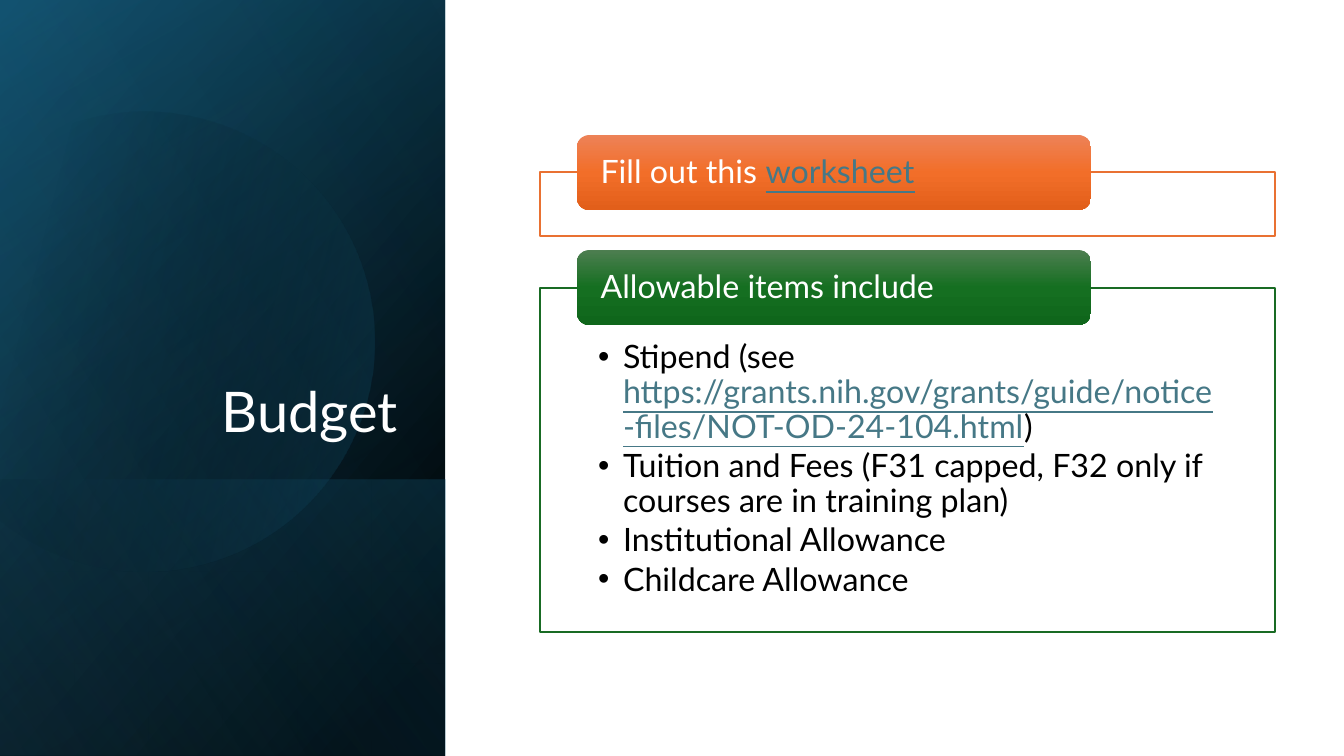
import math
from dataclasses import dataclass

from lxml import etree
from pptx import Presentation
from pptx import util as u
from pptx.dml.color import RGBColor
from pptx.enum import shapes, text
from pptx.oxml.ns import qn


@dataclass(frozen=True)
class Theme:
    font: str = "Lato"
    title_size: int = 40
    text_size: int = 23
    white: str = "FFFFFF"
    black: str = "000000"
    link: str = "467886"
    navy: str = "104862"
    teal: str = "156082"
    sky: str = "46B1E1"
    orange: str = "E97132"
    green: str = "196B24"
    orange_header: tuple = ((0, "ED8257", 100), (50, "F26E29", 100), (100, "E25F1A", 100))
    green_header: tuple = ((0, "4D7E50", 100), (50, "156F21", 100), (100, "0F661B", 100))


THEME = Theme()
SCALE = 914400 / 100.8
PAGE_WIDTH, PAGE_HEIGHT = 1344, 756
PANEL_WIDTH = 445
FRAME_LEFT, FRAME_WIDTH = 540, 735
HEADER_LEFT, HEADER_WIDTH, HEADER_HEIGHT = 577, 514, 75


def px(length):
    return u.Emu(round(length * SCALE))


def place(shape, left, top, width, height):
    shape.left, shape.top = px(left), px(top)
    shape.width, shape.height = px(width), px(height)


def add_alpha(color, percent):
    etree.SubElement(color, qn("a:alpha")).set("val", str(percent * 1000))


def fill_gradient(shape, stops, angle):
    shape.fill.gradient()
    shape.fill.gradient_angle = 360 - angle
    stop_list = shape._element.spPr.find(".//" + qn("a:gsLst"))
    for stop in list(stop_list):
        stop_list.remove(stop)
    for position, value, opacity in stops:
        stop = etree.SubElement(stop_list, qn("a:gs"), pos=str(position * 1000))
        color = etree.SubElement(stop, qn("a:srgbClr"), val=value)
        add_alpha(color, opacity)
    shape.line.fill.background()
    shape.shadow.inherit = False


def add_panel_layer(page, top, height, stops, angle):
    left = (PANEL_WIDTH - height) / 2
    middle = top + height / 2
    layer = page.shapes.add_shape(
        shapes.MSO_SHAPE.RECTANGLE,
        px(left), px(middle - PANEL_WIDTH / 2), px(height), px(PANEL_WIDTH))
    layer.rotation = 90
    layer._element.spPr.find(qn("a:xfrm")).set("flipH", "1")
    fill_gradient(layer, stops, angle)


def add_disc(page, center_x, center_y, radius, angles, rotation):
    def on_arc(degrees, tangent=0):
        turn = math.radians(degrees)
        return (px(center_x + radius * (math.cos(turn) - tangent * math.sin(turn))),
                px(center_y + radius * (math.sin(turn) + tangent * math.cos(turn))))

    points = [on_arc(degrees) for degrees in angles]
    builder = page.shapes.build_freeform(*points[0])
    builder.add_line_segments(points[1:], close=True)
    disc = builder.convert_to_shape()
    outline = disc._element.spPr.find(".//" + qn("a:pathLst"))[0]
    edges = outline.findall(qn("a:lnTo"))
    for edge, start, end in zip(edges, angles, angles[1:]):
        reach = 4 / 3 * math.tan(math.radians(end - start) / 4)
        curve = etree.Element(qn("a:cubicBezTo"))
        for x, y in (on_arc(start, reach), on_arc(end, -reach), on_arc(end)):
            etree.SubElement(curve, qn("a:pt"), x=str(x - disc.left), y=str(y - disc.top))
        outline.replace(edge, curve)
    disc.rotation = rotation
    fill_gradient(disc, ((29, THEME.black, 0), (100, THEME.teal, 43)), 30)


def add_spans(para, spans, size):
    para.line_spacing = 0.9
    for words, color in spans:
        span = para.add_run()
        span.text = words
        span.font.name = THEME.font
        span.font.size = u.Pt(size)
        span.font.color.rgb = RGBColor.from_string(color)
        if color == THEME.link:
            span.font.underline = True


def set_insets(frame, left, top, right, bottom):
    frame.margin_left, frame.margin_top = px(left), px(top)
    frame.margin_right, frame.margin_bottom = px(right), px(bottom)
    frame.word_wrap = True
    frame.auto_size = text.MSO_AUTO_SIZE.NONE


def add_frame(page, top, height, color):
    box = page.shapes.add_shape(
        shapes.MSO_SHAPE.RECTANGLE,
        px(FRAME_LEFT), px(top), px(FRAME_WIDTH), px(height))
    box.fill.solid()
    box.fill.fore_color.rgb = RGBColor.from_string(THEME.white)
    add_alpha(box._element.spPr.find(qn("a:solidFill"))[0], 90)
    box.line.color.rgb = RGBColor.from_string(color)
    box.line.width = u.Pt(1)
    box.shadow.inherit = False


def add_header(page, top, stops, spans):
    box = page.shapes.add_shape(
        shapes.MSO_SHAPE.ROUNDED_RECTANGLE,
        px(HEADER_LEFT), px(top), px(HEADER_WIDTH), px(HEADER_HEIGHT))
    fill_gradient(box, stops, 90)
    set_insets(box.text_frame, 20, 2, 20, 0)
    box.text_frame.vertical_anchor = text.MSO_ANCHOR.MIDDLE
    para = box.text_frame.paragraphs[0]
    para.alignment = text.PP_ALIGN.LEFT
    add_spans(para, spans, THEME.text_size)


def fill_title(page, words):
    title = page.shapes.title
    page.shapes._spTree.append(title._element)
    place(title, 64, 186, 344, 264)
    title.text_frame.word_wrap = True
    title.text_frame.auto_size = text.MSO_AUTO_SIZE.NONE
    title.text_frame.vertical_anchor = text.MSO_ANCHOR.BOTTOM
    para = title.text_frame.paragraphs[0]
    para.alignment = text.PP_ALIGN.RIGHT
    add_spans(para, [(words, THEME.white)], THEME.title_size)


def fill_list(page, top, height, items):
    body = page.placeholders[1]
    page.shapes._spTree.append(body._element)
    place(body, FRAME_LEFT, top, FRAME_WIDTH, height)
    frame = body.text_frame
    set_insets(frame, 58, 53, 57, 18)
    for index, spans in enumerate(items):
        para = frame.add_paragraph() if index else frame.paragraphs[0]
        para.level = 1
        para.space_before = u.Pt(0)
        para.space_after = u.Pt(3.25)
        add_spans(para, spans, THEME.text_size)
        properties = para._p.get_or_add_pPr()
        properties.set("marL", str(px(25)))
        properties.set("indent", str(px(-25)))
        etree.SubElement(properties, qn("a:buChar"), char="•")


def main():
    deck = Presentation()
    deck.slide_width, deck.slide_height = px(PAGE_WIDTH), px(PAGE_HEIGHT)
    page = deck.slides.add_slide(deck.slide_layouts[1])

    add_panel_layer(page, 0, PAGE_HEIGHT, ((8, THEME.black, 100), (100, THEME.navy, 100)), 50)
    add_panel_layer(page, 0, PAGE_HEIGHT, ((0, THEME.black, 0), (99, THEME.teal, 46)), 30)
    add_panel_layer(page, 480, 276, ((2, THEME.teal, 29), (100, THEME.black, 30)), 130)
    add_disc(page, 144, 337, 230, (-118, -90, 0, 90, 150), 343.9)
    add_panel_layer(page, 0, PAGE_HEIGHT, ((0, THEME.black, 0), (99, THEME.sky, 11)), 120)
    fill_title(page, "Budget")

    add_frame(page, 172, 64, THEME.orange)
    add_header(page, 135, THEME.orange_header,
               [("Fill out this ", THEME.white), ("worksheet", THEME.link)])

    add_frame(page, 288, 344, THEME.green)
    fill_list(page, 288, 344, [
        [("Stipend (see ", THEME.black),
         ("https://grants.nih.gov/grants/guide/notice-files/NOT-OD-24-104.html", THEME.link),
         (")", THEME.black)],
        [("Tuition and Fees (F31 capped, F32 only if courses are in training plan)", THEME.black)],
        [("Institutional Allowance", THEME.black)],
        [("Childcare Allowance", THEME.black)],
    ])
    add_header(page, 250, THEME.green_header, [("Allowable items include", THEME.white)])

    deck.save("out.pptx")


if __name__ == "__main__":
    main()
